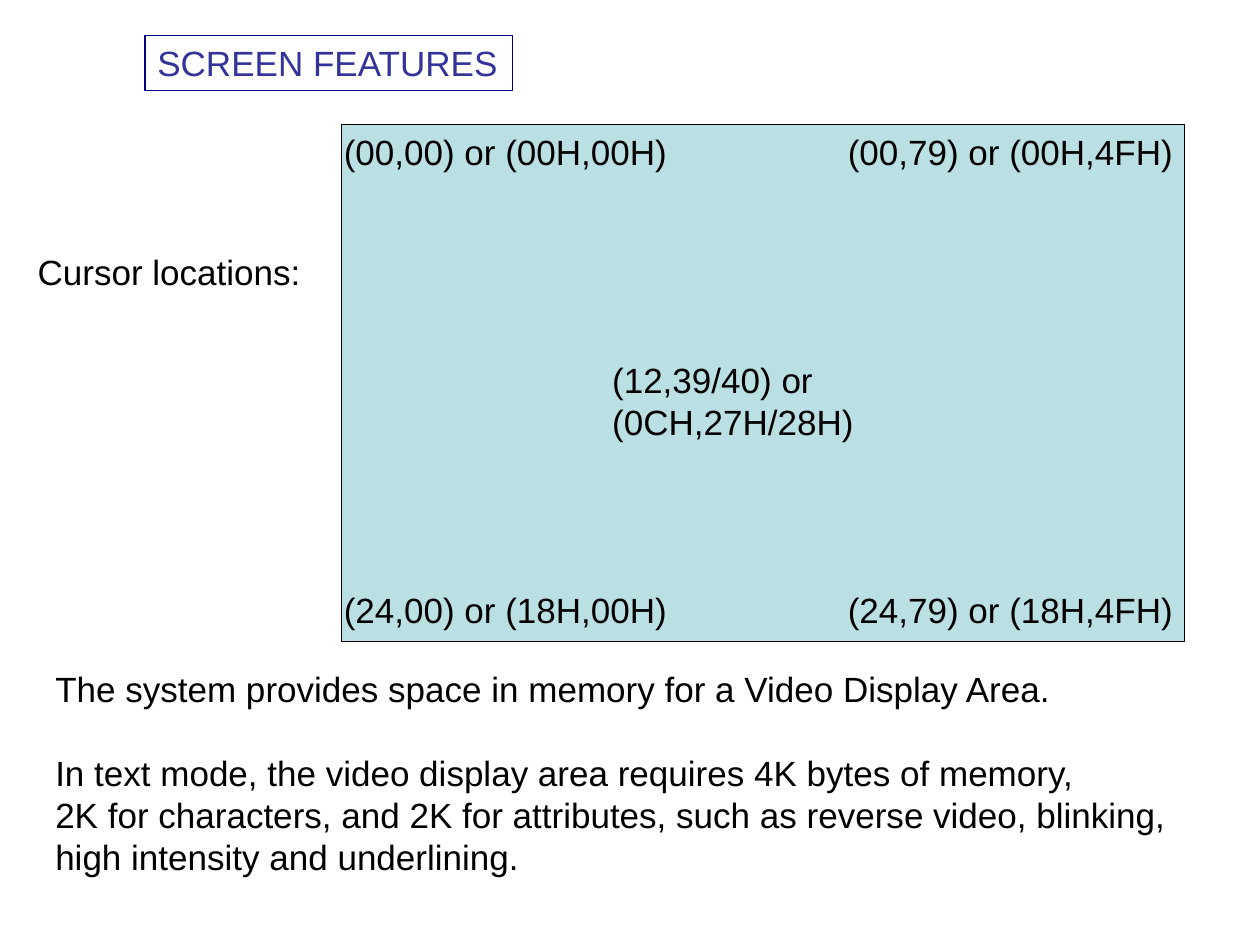
from lxml.etree import SubElement
from pptx import Presentation
from pptx.dml.color import RGBColor
from pptx.enum.shapes import MSO_SHAPE
from pptx.enum.text import MSO_AUTO_SIZE
from pptx.oxml.ns import qn
from pptx.util import Inches, Pt

BLACK = RGBColor(0x00, 0x00, 0x00)
NAVY = RGBColor(0x00, 0x00, 0x80)
INDIGO = RGBColor(0x33, 0x33, 0x99)
PALE_TEAL = RGBColor(0xBB, 0xE0, 0xE3)
LINE_HEIGHT = Pt(24)

prs = Presentation()
prs.slide_width, prs.slide_height = Inches(10), Inches(7.5)
s = prs.slides.add_slide(prs.slide_layouts[6])


def place(x, y, w, h):
    """Turn percentages of the slide's size into lengths."""
    W, H = prs.slide_width, prs.slide_height
    return int(W * x / 100), int(H * y / 100), int(W * w / 100), int(H * h / 100)


def add_text(shapes, box, lines, color=BLACK):
    sp = shapes.add_textbox(*place(*box))
    tf = sp.text_frame
    tf.word_wrap = False
    tf.auto_size = MSO_AUTO_SIZE.SHAPE_TO_FIT_TEXT
    for i, line in enumerate(lines):
        p = tf.paragraphs[0] if i == 0 else tf.add_paragraph()
        p.line_spacing = LINE_HEIGHT
        # Tab stops at every inch
        tabs = SubElement(p._p.get_or_add_pPr(), qn("a:tabLst"))
        for inch in range(8):
            SubElement(tabs, qn("a:tab"), pos=str(Inches(inch)), algn="l")
        r = p.add_run()
        r.text = line
        r.font.name, r.font.size = "Arial", Pt(20)
        r.font.color.rgb = color
    return sp


# Title
title = add_text(s.shapes, (11.5, 3.73, 29.2, 5.87), ["SCREEN FEATURES"], INDIGO)
title.line.color.rgb = NAVY
title.line.width = Pt(0.75)

# Screen with its cursor locations
group = s.shapes.add_group_shape()
screen = group.shapes.add_shape(MSO_SHAPE.RECTANGLE, *place(27.1, 13.2, 66.9, 54.67))
screen.shadow.inherit = False
screen.fill.solid()
screen.fill.fore_color.rgb = PALE_TEAL
screen.line.color.rgb = BLACK
screen.line.width = Pt(0.75)

for box, lines in [
    ((26.3, 13.2, 67.8, 5.87), ["(00,00) or (00H,00H)\t\t(00,79) or (00H,4FH)"]),
    ((47.6, 37.33, 21.2, 10.27), ["(12,39/40) or", "(0CH,27H/28H)"]),
    ((26.3, 61.6, 67.8, 5.87), ["(24,00) or (18H,00H)\t\t(24,79) or (18H,4FH)"]),
]:
    add_text(group.shapes, box, lines)

# Caption
add_text(s.shapes, (2, 25.87, 22.9, 5.87), ["Cursor locations:"])

# Explanation, with one line's gap after the first sentence
memory = add_text(s.shapes, (3.4, 70, 90.2, 23.6), [
    "The system provides space in memory for a Video Display Area.",
    "In text mode, the video display area requires 4K bytes of memory,",
    "2K for characters, and 2K for attributes, such as reverse video, blinking,",
    "high intensity and underlining.",
])
memory.text_frame.paragraphs[1].space_before = LINE_HEIGHT

prs.save("out.pptx")
